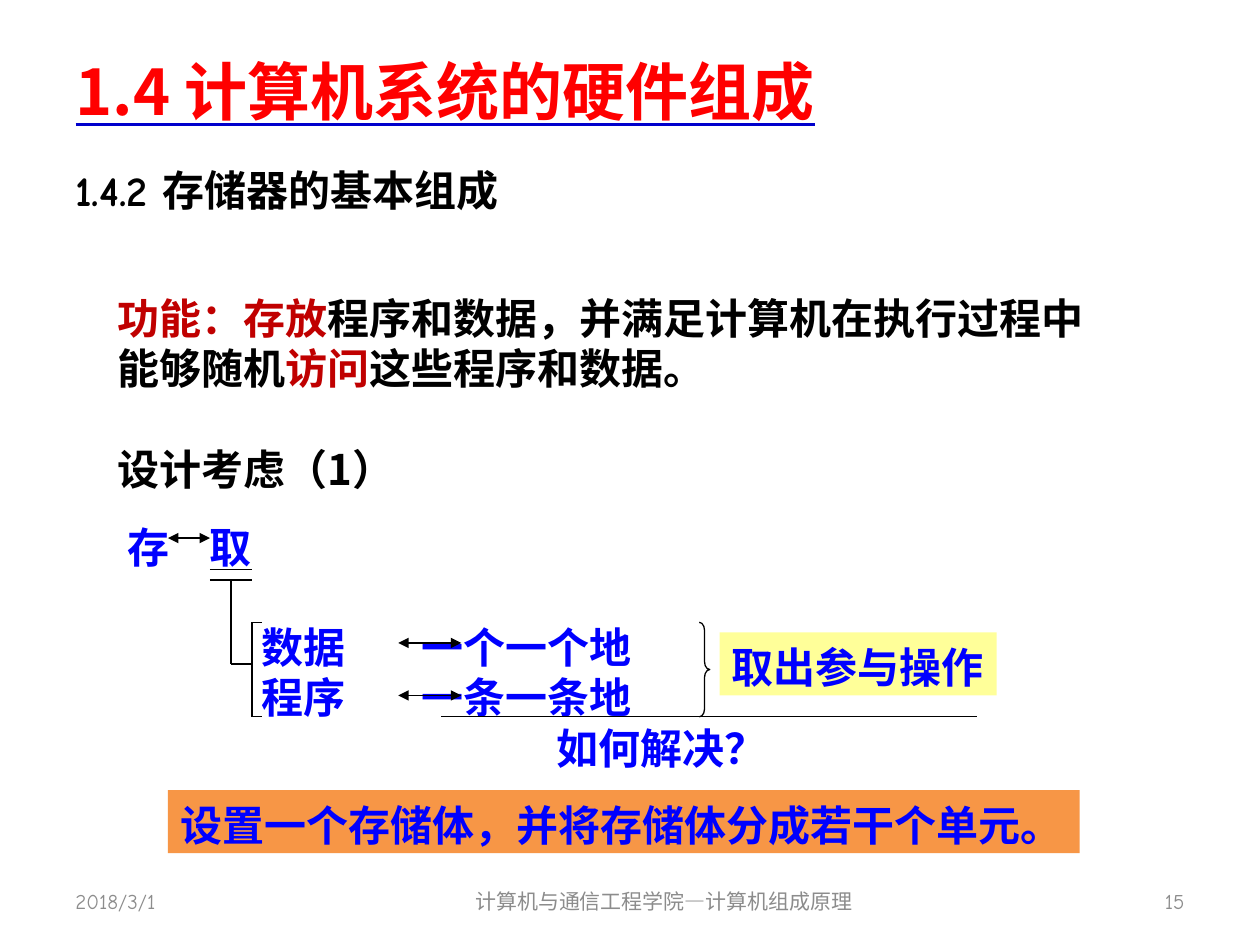
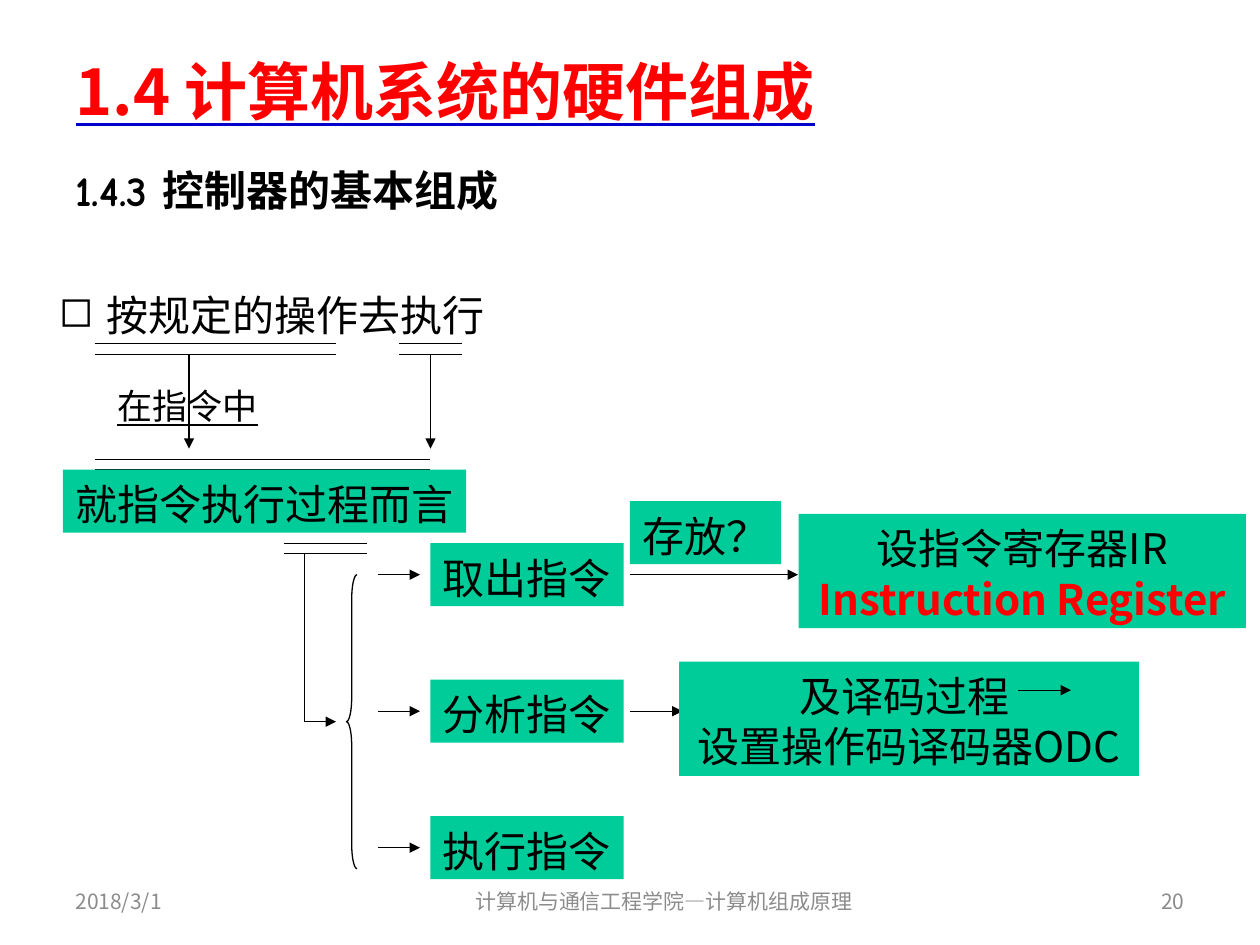
import pptx
import pptx.dml.color
import pptx.enum.shapes
import pptx.enum.text
import pptx.oxml
import pptx.oxml.ns
import pptx.util

Pt = pptx.util.Pt
qn = pptx.oxml.ns.qn
SHAPES = pptx.enum.shapes.MSO_SHAPE
ANCHOR = pptx.enum.text.MSO_ANCHOR
ALIGN = pptx.enum.text.PP_ALIGN

CJK = "Noto Sans CJK SC"
LATIN = "Comic Neue"
BLACK = "000000"
BLUE = "0000FF"
RED = "FF0000"
DARK_RED = "C00000"
GREY = "8C8C8C"
GREEN = "00CC99"
YELLOW = "FFFF99"
ORANGE = "F79646"
UNDERLINE = "0000CC"
SECTION = "1.4 计算机系统的硬件组成"
COURSE = "计算机与通信工程学院—计算机组成原理"
DATE = "2018/3/1"
LINE_PITCH = 28.6
LINE_WIDTH = 0.75


def rgb(value):
    return pptx.dml.color.RGBColor.from_string(value)


def add_xml(parent, markup):
    namespace = pptx.oxml.ns.nsdecls("a")
    element = pptx.oxml.parse_xml(markup.replace("/>", f" {namespace}/>", 1))
    parent.append(element)
    return element


def format_paragraph(paragraph, size, color, bold=False, font=CJK, align=ALIGN.LEFT):
    paragraph.alignment = align
    paragraph.font.size = Pt(size)
    paragraph.font.bold = bold
    paragraph.font.name = font
    paragraph.font.color.rgb = rgb(color)
    defaults = paragraph._p.get_or_add_pPr().find(qn("a:defRPr"))
    add_xml(defaults, f'<a:ea typeface="{CJK}"/>')


def write(frame, lines, size=24, color=BLACK, bold=False, font=CJK,
          align=ALIGN.LEFT, wrap=False):
    frame.word_wrap = wrap
    frame.vertical_anchor = ANCHOR.TOP
    frame.margin_top, frame.margin_bottom = Pt(5.4), Pt(1.8)
    for index, line in enumerate(lines):
        paragraph = frame.add_paragraph() if index else frame.paragraphs[0]
        pieces = [(line, None)] if isinstance(line, str) else line
        for text, accent in pieces:
            run = paragraph.add_run()
            run.text = text
            if accent:
                run.font.color.rgb = rgb(accent)
        format_paragraph(paragraph, size, color, bold, font, align)
        paragraph.line_spacing = Pt(size * LINE_PITCH / 24)


def add_label(slide, left, top, width, height, *lines, **style):
    label = slide.shapes.add_textbox(Pt(left), Pt(top), Pt(width), Pt(height))
    write(label.text_frame, lines, **style)
    return label.text_frame


def add_box(slide, left, top, width, height, fill, *lines, **style):
    box = slide.shapes.add_shape(
        SHAPES.RECTANGLE, Pt(left), Pt(top), Pt(width), Pt(height))
    box.shadow.inherit = False
    box.fill.solid()
    box.fill.fore_color.rgb = rgb(fill)
    box.line.fill.background()
    write(box.text_frame, lines, **style)
    return box.text_frame


def add_brace(slide, kind, left, top, height, curl):
    brace = slide.shapes.add_shape(kind, Pt(left), Pt(top), Pt(6), Pt(height))
    brace.shadow.inherit = False
    brace.fill.background()
    brace.line.color.rgb = rgb(BLACK)
    brace.line.width = Pt(LINE_WIDTH)
    brace.adjustments[0] = curl


def add_line(slide, x1, y1, x2, y2, ends=()):
    line = slide.shapes.add_connector(
        pptx.enum.shapes.MSO_CONNECTOR.STRAIGHT, Pt(x1), Pt(y1), Pt(x2), Pt(y2))
    line.line.color.rgb = rgb(BLACK)
    line.line.width = Pt(LINE_WIDTH)
    for end in ends:
        add_xml(line.line._get_or_add_ln(), f'<a:{end} type="triangle"/>')
    add_xml(line._element.spPr, "<a:effectLst/>")


def add_arrow(slide, x1, y1, x2, y2):
    add_line(slide, x1, y1, x2, y2, ["tailEnd"])


def add_two_way_arrow(slide, left, right, y):
    add_line(slide, left, y, right, y, ["headEnd", "tailEnd"])


def add_double_rule(slide, left, right, y):
    for offset in (0, 6):
        add_line(slide, left, y + offset, right, y + offset)


def add_title(slide):
    title = slide.shapes.title
    title.left, title.top, title.width, title.height = Pt(36), Pt(21), Pt(648), Pt(61)
    frame = title.text_frame
    frame.text = SECTION
    frame.vertical_anchor = ANCHOR.MIDDLE
    paragraph = frame.paragraphs[0]
    format_paragraph(paragraph, 36, RED, bold=True)
    paragraph.font.underline = True
    defaults = paragraph._p.pPr.find(qn("a:defRPr"))
    stroke = add_xml(defaults, "<a:uFill/>")
    solid = add_xml(stroke, "<a:solidFill/>")
    add_xml(solid, f'<a:srgbClr val="{UNDERLINE}"/>')
    defaults.find(qn("a:latin")).addprevious(stroke)


def start_slide(deck, topic, number, footer_font):
    slide = deck.slides.add_slide(deck.slide_layouts[5])
    add_title(slide)
    add_label(slide, 36, 88.6, 648, 36, topic, bold=True, font=LATIN, wrap=True)
    footers = ((36, 168, DATE, ALIGN.LEFT),
               (246, 267, COURSE, ALIGN.CENTER),
               (516, 168, number, ALIGN.RIGHT))
    for left, width, text, align in footers:
        footer = add_label(slide, left, 500.5, width, 28.8, text, size=12,
                           color=GREY, font=footer_font, align=align, wrap=True)
        footer.vertical_anchor = ANCHOR.MIDDLE
        footer.margin_top = footer.margin_bottom = Pt(3.6)
    return slide


def build_memory(deck):
    slide = start_slide(deck, "1.4.2 存储器的基本组成", "15", LATIN)
    purpose = [("功能：存放", DARK_RED), ("程序和数据，并满足计算机在执行过程中能够随机", None),
               ("访问", DARK_RED), ("这些程序和数据。", None)]
    add_label(slide, 60, 162, 572, 65, purpose, bold=True, wrap=True)
    add_label(slide, 60, 248.4, 572, 36, "设计考虑（1）", bold=True, wrap=True)

    access_top = 293
    notes = ((65.5, 0, ["存"]), (112.5, 0, ["取"]),
             (142.5, 2, ["数据", "程序"]),
             (234, 2, ["一个一个地", "一条一条地"]),
             (311, 4, ["如何解决？"]))
    for left, row, lines in notes:
        add_label(slide, left, access_top + row * LINE_PITCH,
                  24 * len(lines[0]) + 14.4, 7.2 + LINE_PITCH * len(lines),
                  *lines, color=BLUE, bold=True)

    add_two_way_arrow(slide, 96, 120, 307.5)
    add_double_rule(slide, 120, 144, 325.4)
    add_line(slide, 132, 331.4, 132, 379.4)
    add_line(slide, 132, 379.4, 144, 379.4)
    bracket_top, bracket_bottom = 355.6, 409.6
    add_line(slide, 144, bracket_top, 144, bracket_bottom)
    for y in (bracket_top, bracket_bottom):
        add_line(slide, 144, y, 150, y)
    for y in (367.4, 397.4):
        add_two_way_arrow(slide, 227.6, 263.6, y)
    add_brace(slide, SHAPES.RIGHT_BRACE, 399.6, bracket_top, 54, 0.75)
    add_line(slide, 252, bracket_bottom, 558, bracket_bottom)
    add_box(slide, 411.2, 361.4, 158.4, 36, YELLOW, "取出参与操作",
            color=BLUE, bold=True)
    add_box(slide, 96, 451.5, 521, 36, ORANGE,
            "设置一个存储体，并将存储体分成若干个单元。", color=BLUE, bold=True)


def build_controller(deck):
    slide = start_slide(deck, "1.4.3 控制器的基本组成", "20", CJK)
    task = add_label(slide, 26.6, 160, 260, 36, "按规定的操作去执行")
    properties = task.paragraphs[0]._p.pPr
    properties.set("marL", str(Pt(27)))
    properties.set("indent", str(-Pt(27)))
    bullet = add_xml(properties, '<a:buChar char="◻"/>')
    properties.find(qn("a:defRPr")).addprevious(bullet)

    for left, right, stem in ((54, 192, 108), (228, 264, 246)):
        add_double_rule(slide, left, right, 196.4)
        add_arrow(slide, stem, 202.4, stem, 256.4)
    source = add_label(slide, 60, 214.5, 94.4, 31, "在指令中", size=20)
    source.paragraphs[0].font.underline = True
    add_double_rule(slide, 54, 246, 262.4)
    add_box(slide, 36, 268.4, 230.4, 36, GREEN, "就指令执行过程而言")

    add_double_rule(slide, 162, 210, 310.4)
    add_line(slide, 174, 316.4, 174, 412.4)
    add_arrow(slide, 174, 412.4, 192, 412.4)
    first_step, step_pitch = 328.4, 78
    add_brace(slide, SHAPES.LEFT_BRACE, 198, first_step, 168, 2.33)
    for index, step in enumerate(("取出指令", "分析指令", "执行指令")):
        y = first_step + index * step_pitch
        add_arrow(slide, 216, y, 240, y)
        add_box(slide, 246, y - 18, 110.4, 36, GREEN, step)

    add_arrow(slide, 360, first_step, 456, first_step)
    add_box(slide, 360, 286.4, 86.4, 36, GREEN, "存放？")
    add_box(slide, 456.4, 293.6, 255.6, 65.4, GREEN, "设指令寄存器IR",
            align=ALIGN.CENTER, wrap=True)
    register = slide.shapes[-1].text_frame.add_paragraph()
    register.text = "Instruction Register"
    format_paragraph(register, 24, RED, bold=True, align=ALIGN.CENTER)
    register.line_spacing = Pt(LINE_PITCH)
    decode_y = first_step + step_pitch
    add_arrow(slide, 360, decode_y, 390, decode_y)
    add_box(slide, 388, 378, 262.8, 65.4, GREEN, "及译码过程 ",
            "设置操作码译码器ODC", align=ALIGN.CENTER)
    add_arrow(slide, 582, 394.4, 612, 394.4)


def main():
    deck = pptx.Presentation()
    deck.slide_width, deck.slide_height = Pt(720), Pt(540)
    build_memory(deck)
    build_controller(deck)
    deck.save("out.pptx")


if __name__ == "__main__":
    main()
